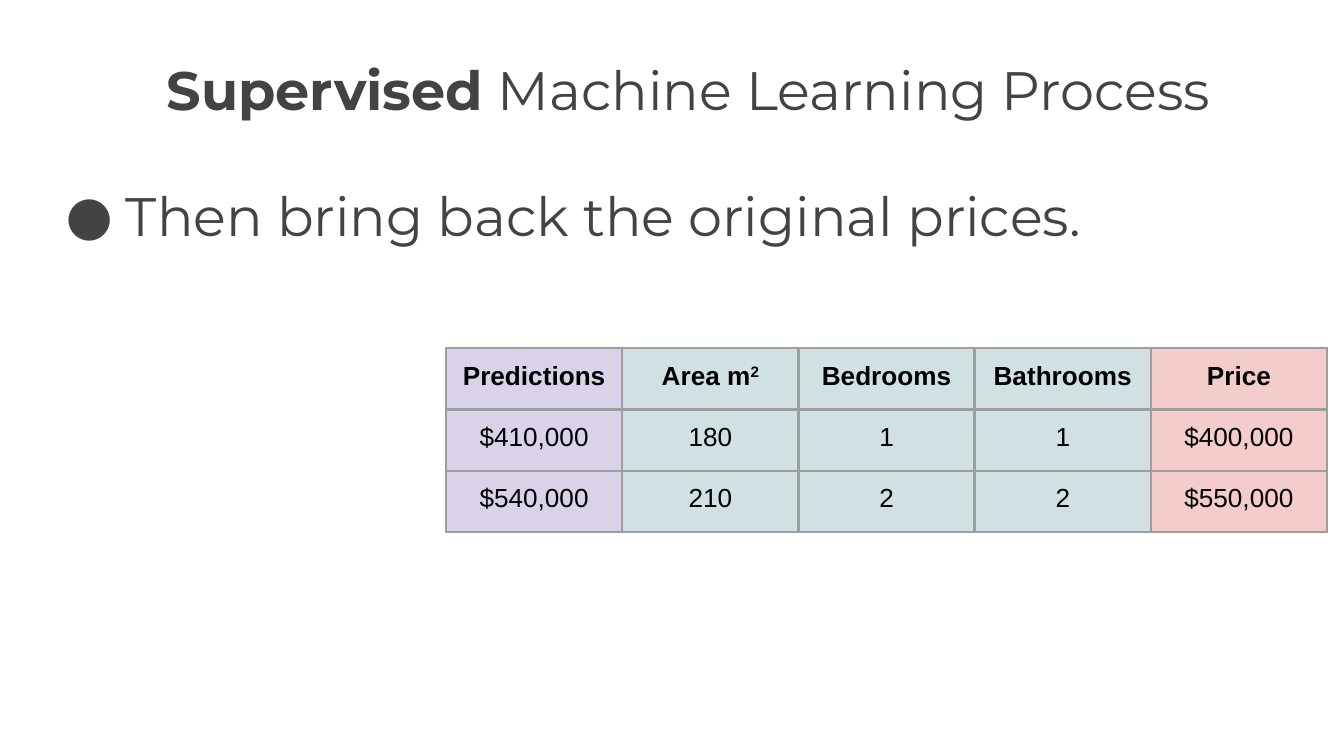
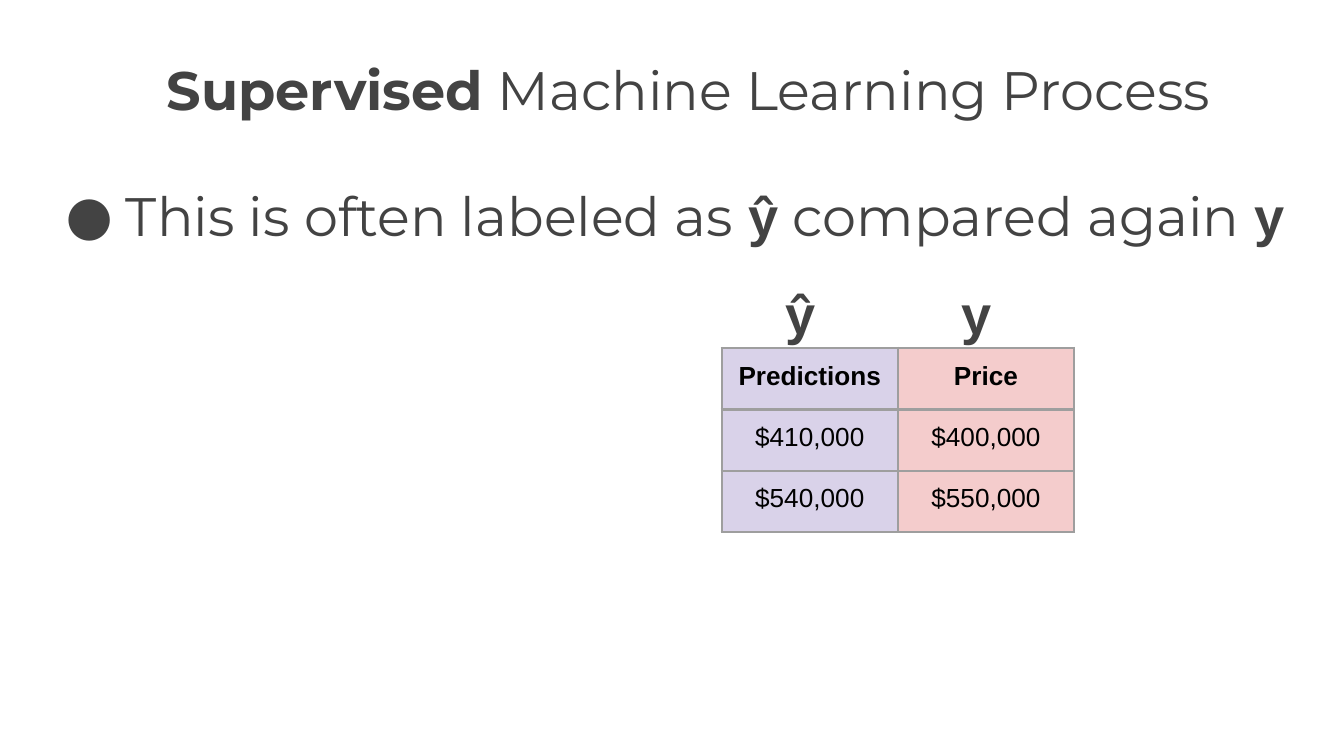
from lxml import etree
from pptx import Presentation
from pptx.dml.color import RGBColor
from pptx.enum.text import MSO_ANCHOR, MSO_AUTO_SIZE, PP_ALIGN
from pptx.oxml.ns import qn
from pptx.util import Cm, Pt

LEFT, CENTER = PP_ALIGN.LEFT, PP_ALIGN.CENTER
TOP = MSO_ANCHOR.TOP
NO_AUTOFIT = MSO_AUTO_SIZE.NONE

TEXT, BLACK, BORDER = "434343", "000000", "9E9E9E"
PREDICTION_FILL, FEATURE_FILL, PRICE_FILL = "D9D2E9", "D0E0E3", "F4CCCC"

# Boxes are left, top, width, height in centimetres.
SLIDE_SIZE = (25.4, 14.29)
TITLE_BOX = (2.9, 0.81, 21.64, 1.6)
BODY_BOX = (0.86, 3.2, 24.13, 9.5)
TABLE_TOP, COLUMN_WIDTH, ROW_HEIGHT = 6.58, 3.33, 1.16
LABEL_TOP, LABEL_HEIGHT, LABEL_SHIFT = 5.05, 1.88, -0.17
INSET = Cm(0.25)

HEADING = {"name": "Montserrat", "size": Pt(29), "bold": False}
HEADING_BOLD = {**HEADING, "bold": True}
SYMBOL = {**HEADING_BOLD, "name": "Arial"}
CELL = {"name": "Arial", "size": Pt(14), "bold": False}
CELL_BOLD = {**CELL, "bold": True}

PREDICTIONS = [["Predictions"], ["$410,000"], ["$540,000"]]
FEATURES = [["Area m^2", "Bedrooms", "Bathrooms"], ["180", "1", "1"], ["210", "2", "2"]]
PRICES = [["Price"], ["$400,000"], ["$550,000"]]


def rgb(value):
    return RGBColor.from_string(value)


def apply(target, values):
    for name, value in values.items():
        setattr(target, name, value)


def add_run(paragraph, text, style, color=TEXT):
    run = paragraph.add_run()
    run.text = text
    apply(run.font, style)
    run.font.color.rgb = rgb(color)
    return run


def format_box(shape, box, align, space_after=0):
    """Place a text shape and return its first paragraph."""
    apply(shape, dict(zip(("left", "top", "width", "height"), map(Cm, box))))
    frame = shape.text_frame
    apply(frame, {
        "word_wrap": True, "auto_size": NO_AUTOFIT, "vertical_anchor": TOP,
        "margin_left": INSET, "margin_right": INSET,
        "margin_top": INSET, "margin_bottom": INSET,
    })
    paragraph = frame.paragraphs[0]
    apply(paragraph, {"alignment": align, "space_before": Pt(0),
                      "space_after": Pt(space_after)})
    return paragraph


def add_bullet(paragraph):
    properties = paragraph._p.get_or_add_pPr()
    properties.set("marL", str(Cm(1.27)))
    properties.set("indent", str(Cm(-1.14)))
    color = etree.SubElement(properties, qn("a:buClr"))
    etree.SubElement(color, qn("a:srgbClr"), val=TEXT)
    etree.SubElement(properties, qn("a:buFont"), typeface="Montserrat")
    etree.SubElement(properties, qn("a:buChar"), char="●")


def add_process_slide(presentation, body_runs):
    """Add a slide with the shared title and one bullet of styled runs."""
    slide = presentation.slides.add_slide(presentation.slide_layouts[1])
    title = format_box(slide.shapes.title, TITLE_BOX, LEFT, space_after=16)
    add_run(title, "Supervised", HEADING_BOLD)
    add_run(title, " Machine Learning Process", HEADING)
    body = format_box(slide.placeholders[1], BODY_BOX, LEFT)
    add_bullet(body)
    for text, style in body_runs:
        add_run(body, text, style)
    return slide


def add_borders(cell):
    properties = cell._tc.get_or_add_tcPr()
    for side in ("lnL", "lnR", "lnT", "lnB"):
        line = etree.SubElement(properties, qn(f"a:{side}"), w=str(Pt(1.5)))
        fill = etree.SubElement(line, qn("a:solidFill"))
        etree.SubElement(fill, qn("a:srgbClr"), val=BORDER)


def format_cell(cell, text, style, fill):
    """Fill a cell; text after ^ is set as superscript."""
    add_borders(cell)
    cell.fill.solid()
    cell.fill.fore_color.rgb = rgb(fill)
    apply(cell, {"margin_left": INSET, "margin_right": INSET, "margin_top": INSET,
                 "margin_bottom": INSET, "vertical_anchor": TOP})
    paragraph = cell.text_frame.paragraphs[0]
    paragraph.alignment = CENTER
    base, _, superscript = text.partition("^")
    add_run(paragraph, base, style, BLACK)
    if superscript:
        run = add_run(paragraph, superscript, style, BLACK)
        run._r.get_or_add_rPr().set("baseline", "30000")


def add_data_table(slide, left, rows, fill):
    """Add a table and return its right edge."""
    columns = len(rows[0])
    width = columns * COLUMN_WIDTH
    table = slide.shapes.add_table(
        len(rows), columns, Cm(left), Cm(TABLE_TOP),
        Cm(width), Cm(len(rows) * ROW_HEIGHT)).table
    apply(table, {"first_row": False, "horz_banding": False})
    for row_index, row in enumerate(rows):
        table.rows[row_index].height = Cm(ROW_HEIGHT)
        style = CELL if row_index else CELL_BOLD
        for column_index, text in enumerate(row):
            format_cell(table.cell(row_index, column_index), text, style, fill)
    return left + width


def add_column_label(slide, column_left, text):
    box = (column_left + LABEL_SHIFT, LABEL_TOP, COLUMN_WIDTH, LABEL_HEIGHT)
    shape = slide.shapes.add_textbox(*map(Cm, box))
    add_run(format_box(shape, box, CENTER), text, SYMBOL)


def build_prices_slide(presentation):
    slide = add_process_slide(
        presentation, [("Then bring back the original prices.", HEADING)])
    left = 8.43
    for rows, fill in ((PREDICTIONS, PREDICTION_FILL), (FEATURES, FEATURE_FILL),
                       (PRICES, PRICE_FILL)):
        left = add_data_table(slide, left, rows, fill)


def build_comparison_slide(presentation):
    slide = add_process_slide(presentation, [
        ("This is often labeled as ", HEADING), ("ŷ", SYMBOL),
        (" compared again ", HEADING), ("y", SYMBOL)])
    left = 13.64
    for rows, fill, label in ((PREDICTIONS, PREDICTION_FILL, "ŷ"),
                              (PRICES, PRICE_FILL, "y")):
        add_column_label(slide, left, label)
        left = add_data_table(slide, left, rows, fill)


def main():
    presentation = Presentation()
    presentation.slide_width, presentation.slide_height = map(Cm, SLIDE_SIZE)
    build_prices_slide(presentation)
    build_comparison_slide(presentation)
    presentation.save("out.pptx")


if __name__ == "__main__":
    main()
